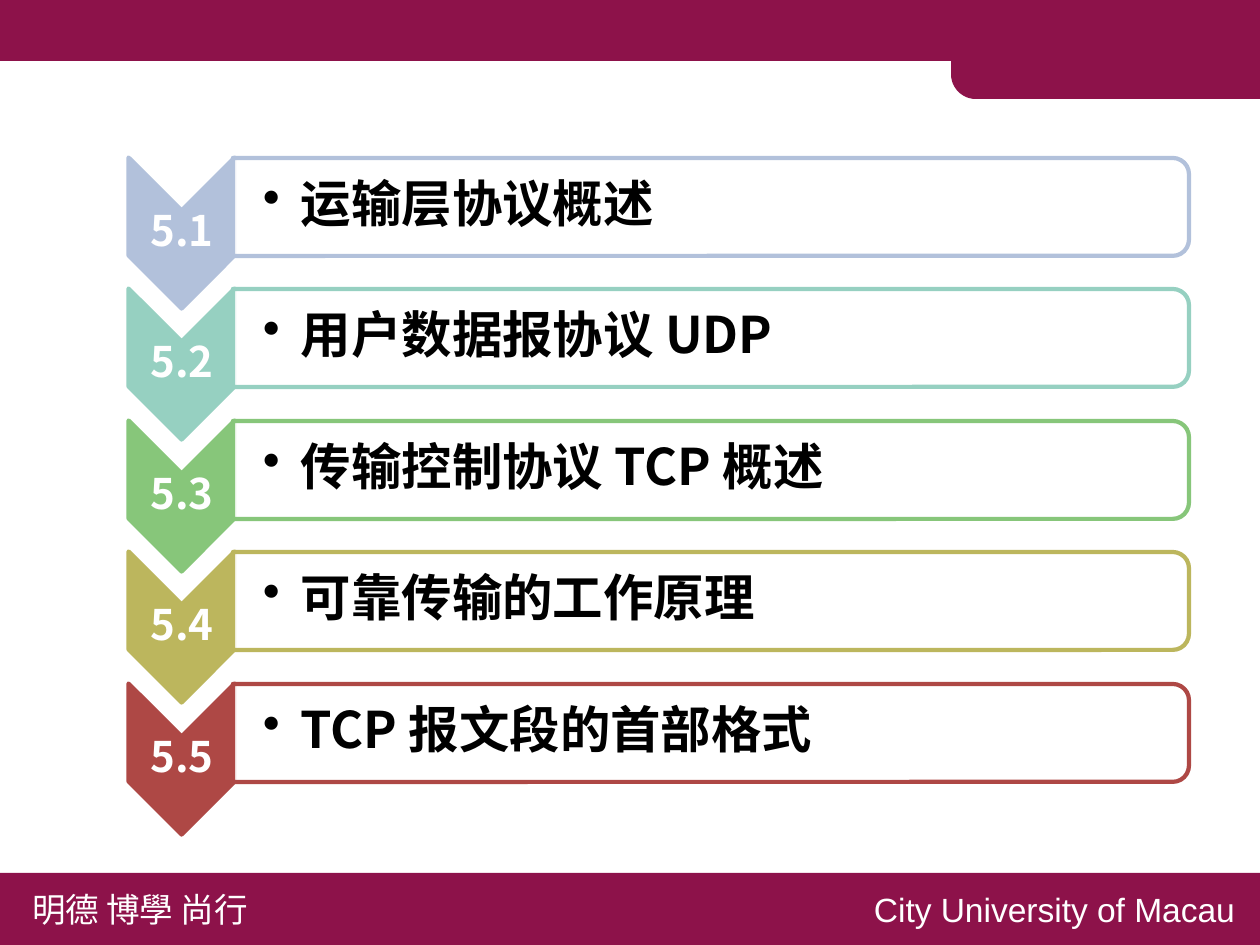
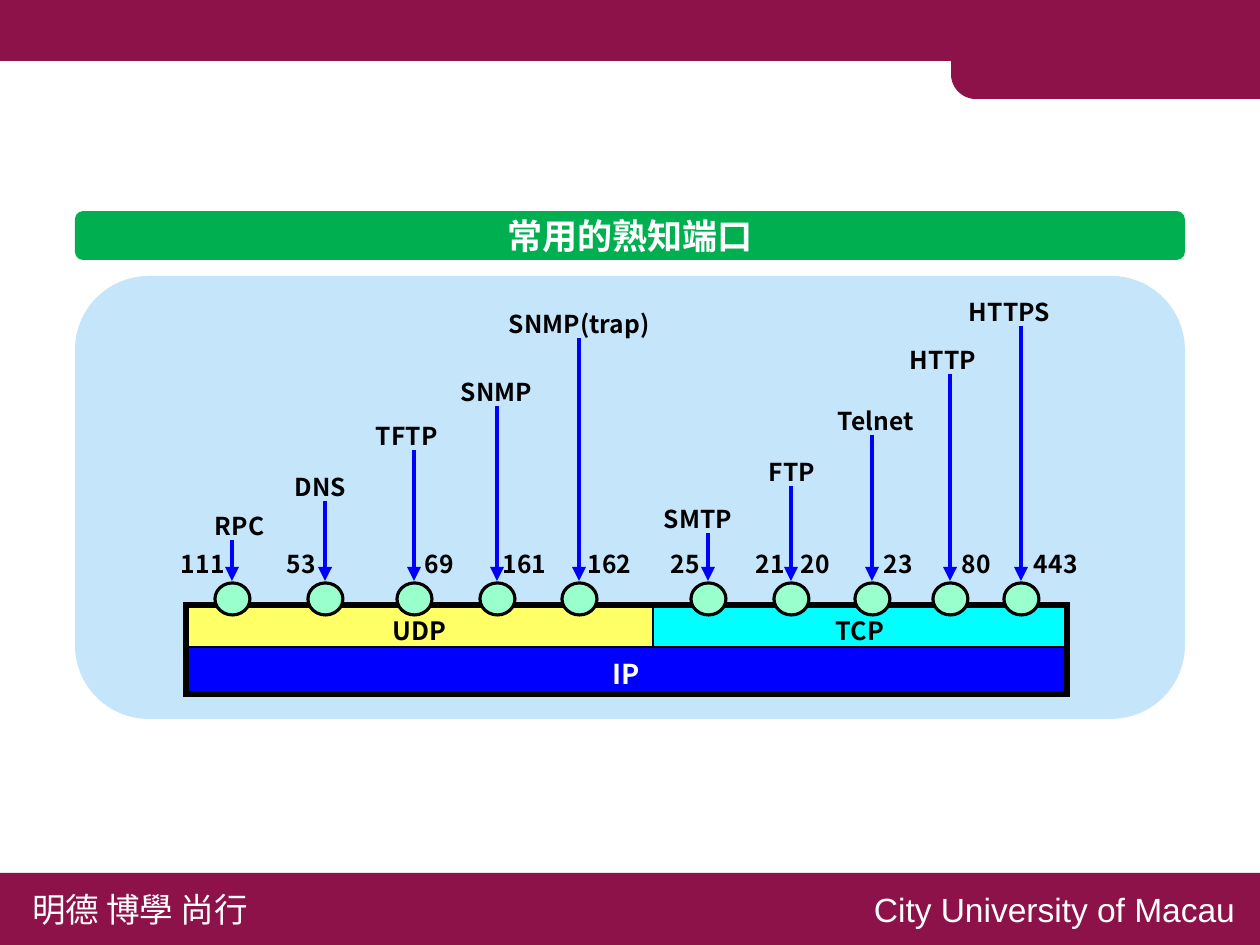
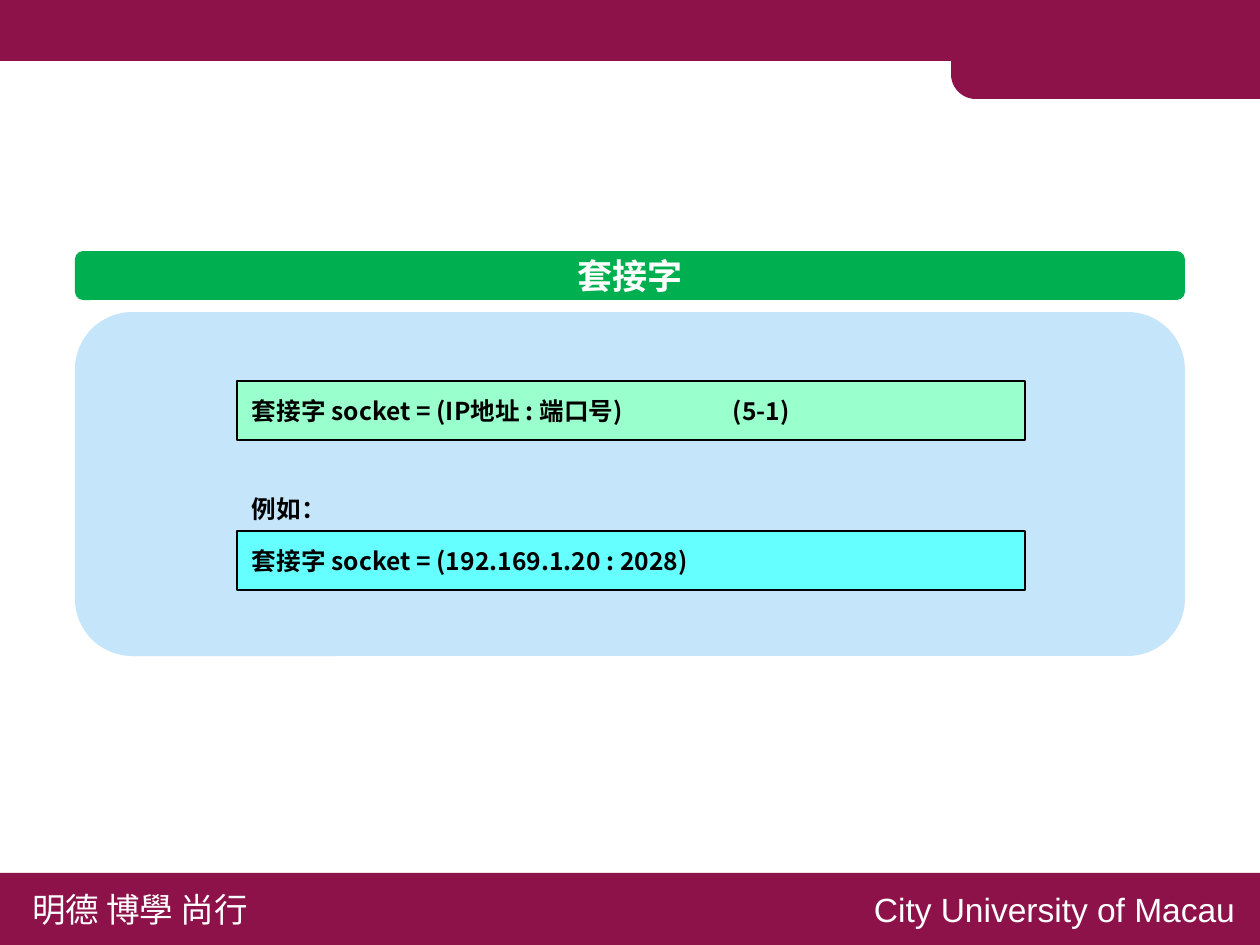
from lxml import etree
from pptx import Presentation
from pptx import util as u
from pptx.dml.color import RGBColor
from pptx.enum import shapes, text
from pptx.oxml import ns

PX = 6048
SANS, ARIAL = "Noto Sans CJK SC", "Arial"
COLORS = {
    "brand": "8D124A", "white": "FFFFFF", "black": "000000",
    "heading": "00B050", "panel": "C5E5FB", "arrow": "0000FF",
    "port": "99FFCC", "example": "66FFFF",
    "udp": "FFFF66", "tcp": "00FFFF", "ip": "0000FF",
    "ch1": "B2C1DB", "ch2": "96D0C1", "ch3": "87C67A",
    "ch4": "BCB65D", "ch5": "AE4845",
}
KIND = shapes.MSO_SHAPE
ALIGN = text.PP_ALIGN
ANCHOR = text.MSO_ANCHOR


def px(*lengths):
    return [u.Emu(n * PX) for n in lengths]


def rgb(name):
    return RGBColor.from_string(COLORS[name])


def add_xml(parent, tag, **attributes):
    return etree.SubElement(parent, ns.qn(tag), {k: str(v) for k, v in attributes.items()})


class Deck:
    def __init__(self):
        self.prs = Presentation()
        self.prs.slide_width, self.prs.slide_height = px(1260, 945)
        self.slide = None

    def new_slide(self):
        self.slide = self.prs.slides.add_slide(self.prs.slide_layouts[6])
        self.shape(KIND.RECTANGLE, (0, 0, 1260, 61), "brand")
        tab = self.shape(KIND.ROUND_1_RECTANGLE, (951, 0, 309, 99), "brand", rotation=180)
        tab.adjustments[0] = 0.25
        self.shape(KIND.RECTANGLE, (0, 873, 1260, 72), "brand")
        self.label("明德 博學 尚行", (17, 881, 254, 56), 16, "white", bold=False)
        self.label("City University of Macau", (859, 881, 396, 56), 16, "white",
                   bold=False, font=ARIAL)

    def shape(self, kind, box, fill, line=None, width=1.0, rotation=0):
        shape = self.slide.shapes.add_shape(kind, *px(*box))
        shape.shadow.inherit = False
        shape.rotation = rotation
        shape.fill.solid()
        shape.fill.fore_color.rgb = rgb(fill)
        if line:
            shape.line.color.rgb = rgb(line)
            shape.line.width = u.Pt(width)
        else:
            shape.line.fill.background()
        return shape

    def style(self, paragraph, size, color, bold=True, font=SANS, align=ALIGN.LEFT):
        paragraph.alignment = align
        paragraph.font.size = u.Pt(size)
        paragraph.font.bold = bold
        paragraph.font.color.rgb = rgb(color)
        paragraph.font.name = font
        properties = paragraph._p.get_or_add_pPr().find(ns.qn("a:defRPr"))
        add_xml(properties, "a:ea", typeface=SANS)

    def set_text(self, shape, words, size, color, insets=(15, 8, 15, 8), anchor=ANCHOR.MIDDLE,
                 spacing=None, bullet=False, tab=None, **style):
        frame = shape.text_frame
        frame.word_wrap = True
        frame.vertical_anchor = anchor
        (frame.margin_left, frame.margin_top,
         frame.margin_right, frame.margin_bottom) = px(*insets)
        paragraph = frame.paragraphs[0]
        paragraph.text = words
        properties = paragraph._p.get_or_add_pPr()
        if spacing:
            paragraph.line_spacing = spacing
        if bullet:
            properties.set("marL", str(38 * PX))
            properties.set("indent", str(-38 * PX))
            add_xml(add_xml(properties, "a:buClr"), "a:srgbClr", val=COLORS[color])
            add_xml(properties, "a:buChar", char="•")
        if tab:
            add_xml(add_xml(properties, "a:tabLst"), "a:tab", pos=tab * PX, algn="l")
        self.style(paragraph, size, color, **style)

    def label(self, words, box, size=11.7, color="black", anchor=ANCHOR.TOP, **options):
        holder = self.slide.shapes.add_textbox(*px(*box))
        self.set_text(holder, words, size, color, anchor=anchor, **options)

    def heading(self, words, top, font=SANS):
        bar = self.shape(KIND.ROUNDED_RECTANGLE, (75, top, 1110, 49), "heading")
        self.set_text(bar, words, 16.7, "white", insets=(15, 0, 15, 0),
                      font=font, align=ALIGN.CENTER)

    def panel(self, top, height):
        self.shape(KIND.ROUNDED_RECTANGLE, (75, top, 1110, height), "panel")

    def chapter(self, number, title, color, offset):
        self.shape(KIND.CHEVRON, (106, 180 + offset, 151, 106), color, color, 2, rotation=90)
        self.label(number, (129, 210 + offset, 106, 45), 20, "white", anchor=ANCHOR.MIDDLE,
                   insets=(2, 2, 2, 2), spacing=0.9, align=ALIGN.CENTER)
        frame = self.shape(KIND.ROUND_2_SAME_RECTANGLE, (662, offset - 271, 98, 956),
                           "white", color, 2, rotation=90)
        tint = frame._element.spPr.find(ns.qn("a:solidFill"))[0]
        add_xml(tint, "a:alpha", val=90000)
        self.label(title, (234, 162 + offset, 951, 89), 24, anchor=ANCHOR.MIDDLE,
                   insets=(29, 3, 3, 3), spacing=0.9, bullet=True)

    def arrow(self, x, top, bottom):
        arrow = self.slide.shapes.add_connector(shapes.MSO_CONNECTOR.STRAIGHT,
                                                *px(x, top, x, bottom))
        arrow.line.color.rgb = rgb("arrow")
        arrow.line.width = u.Pt(2.25)
        add_xml(arrow.line._ln, "a:tailEnd", type="triangle")
        add_xml(arrow._element.spPr, "a:effectLst")

    def cell(self, cell, fill, borders, words="", size=12, color="black"):
        properties = cell._tc.get_or_add_tcPr()
        for side, width in zip("LRTB", borders):
            edge = add_xml(properties, "a:ln" + side, w=u.Pt(width))
            add_xml(add_xml(edge, "a:solidFill"), "a:srgbClr", val=COLORS["black"])
        cell.fill.solid()
        cell.fill.fore_color.rgb = rgb(fill)
        (cell.margin_left, cell.margin_top,
         cell.margin_right, cell.margin_bottom) = px(14, 6, 14, 0)
        if words:
            paragraph = cell.text_frame.paragraphs[0]
            paragraph.text = words
            self.style(paragraph, size, color, align=ALIGN.CENTER)

    def protocol_stack(self):
        stack = self.slide.shapes.add_table(2, 2, *px(186, 605, 881, 89)).table
        stack.first_row = stack.horz_banding = False
        stack.columns[0].width, stack.columns[1].width = px(467, 414)
        stack.rows[0].height, stack.rows[1].height = px(42, 47)
        stack.cell(1, 0).merge(stack.cell(1, 1))
        self.cell(stack.cell(0, 0), "udp", (3, 1.5, 3, 1.5), "UDP")
        self.cell(stack.cell(0, 1), "tcp", (1.5, 3, 3, 1.5), "TCP")
        self.cell(stack.cell(1, 0), "ip", (3, 3, 1.5, 3), "IP", 13, "white")
        self.cell(stack.cell(1, 1), "ip", (3, 3, 1.5, 3))

    def service(self, x, name, name_left, name_top, ports):
        self.label(name, (name_left, name_top, 200, 45))
        self.shape(KIND.OVAL, (x - 17, 583, 35, 32), "port", "black", 1.5)
        self.arrow(x, name_top + 37, 581)
        for port, left in ports.items():
            self.label(port, (left, 541, 90, 45))

    def formula(self, words, top, fill, tab=None):
        box = self.shape(KIND.RECTANGLE, (237, top, 788, 59), fill, "black")
        self.set_text(box, words, 11.7, "black", tab=tab)


CHAPTERS = ["运输层协议概述", "用户数据报协议 UDP", "传输控制协议 TCP 概述",
            "可靠传输的工作原理", "TCP 报文段的首部格式"]
SERVICES = [
    (232, "RPC", 200, 503, {"111": 166}),
    (325, "DNS", 280, 464, {"53": 272}),
    (414, "TFTP", 361, 413, {"69": 410}),
    (497, "SNMP", 446, 369, {"161": 488}),
    (579, "SNMP(trap)", 494, 301, {"162": 573}),
    (708, "SMTP", 649, 496, {"25": 656}),
    (791, "FTP", 754, 449, {"21": 741, "20": 786}),
    (872, "Telnet", 823, 398, {"23": 869}),
    (950, "HTTP", 895, 337, {"80": 947}),
    (1021, "HTTPS", 954, 289, {"443": 1019}),
]


def main():
    deck = Deck()

    deck.new_slide()
    for i, title in enumerate(CHAPTERS):
        deck.chapter(f"5.{i + 1}", title, f"ch{i + 1}", i * 263 // 2)

    deck.new_slide()
    deck.heading("常用的熟知端口", 211, font=ARIAL)
    deck.panel(276, 443)
    deck.protocol_stack()
    for service in SERVICES:
        deck.service(*service)

    deck.new_slide()
    deck.heading("套接字", 251)
    deck.panel(312, 344)
    deck.formula("套接字 socket = (IP地址 : 端口号)\t(5-1)", 381, "port", tab=481)
    deck.label("例如：", (237, 486, 768, 45))
    deck.formula("套接字 socket = (192.169.1.20 : 2028)", 531, "example")

    deck.prs.save("out.pptx")


if __name__ == "__main__":
    main()
